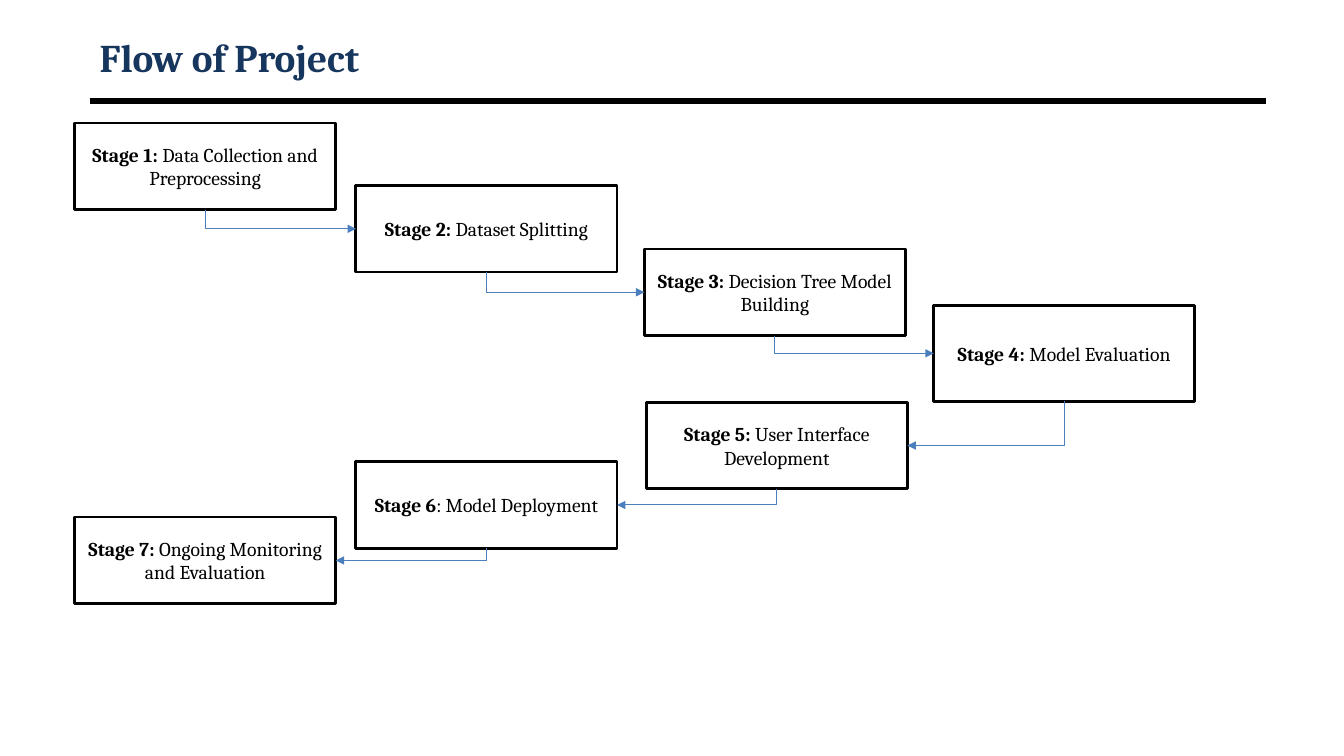
from lxml.etree import SubElement
from pptx import Presentation
from pptx.dml.color import RGBColor
from pptx.enum.shapes import MSO_CONNECTOR, MSO_SHAPE
from pptx.enum.text import MSO_ANCHOR, PP_ALIGN
from pptx.oxml.ns import qn
from pptx.util import Inches, Pt

FONT = "Cambria"
BLACK = RGBColor(0x00, 0x00, 0x00)
WHITE = RGBColor(0xFF, 0xFF, 0xFF)
NAVY = RGBColor(0x17, 0x36, 0x5D)
BLUE = RGBColor(0x4B, 0x7E, 0xBC)
BOTTOM, LEFT, RIGHT = 2, 1, 3
STAGE_WIDTH = 2.59

# Bold label, description, left, top, height
STAGES = [
    ("Stage 1: ", "Data Collection and Preprocessing", 0.74, 1.22, 0.86),
    ("Stage 2: ", "Dataset Splitting", 3.53, 1.84, 0.86),
    ("Stage 3: ", "Decision Tree Model Building", 6.39, 2.47, 0.86),
    ("Stage 4: ", "Model Evaluation", 9.26, 3.03, 0.95),
    ("Stage 5: ", "User Interface Development", 6.41, 3.99, 0.86),
    ("Stage 6", ": Model Deployment", 3.53, 4.58, 0.86),
    ("Stage 7: ", "Ongoing Monitoring and Evaluation", 0.74, 5.13, 0.86),
]


def add_span(para, text, size, color, bold):
    span = para.add_run()
    span.text = text
    span.font.name = FONT
    span.font.size = Pt(size)
    span.font.bold = bold
    span.font.color.rgb = color


def style_line(connector, color, width):
    connector.line.color.rgb = color
    connector.line.width = Pt(width)
    SubElement(connector._element.spPr, qn("a:effectLst"))


def add_header(page, left, top, width, height):
    """Place the title with a heavy rule below it."""
    box = page.shapes.add_textbox(Inches(left), Inches(top), Inches(width), Inches(height))
    box.text_frame.word_wrap = True
    box.text_frame.vertical_anchor = MSO_ANCHOR.MIDDLE
    add_span(box.text_frame.paragraphs[0], "Flow of Project", 28, NAVY, True)
    rule_y = Inches(top + height + 0.17)
    rule = page.shapes.add_connector(
        MSO_CONNECTOR.STRAIGHT, Inches(left), rule_y, Inches(left + width), rule_y)
    style_line(rule, BLACK, 4.5)


def add_stage(page, label, description, left, top, height):
    stage = page.shapes.add_shape(
        MSO_SHAPE.RECTANGLE, Inches(left), Inches(top), Inches(STAGE_WIDTH), Inches(height))
    stage.shadow.inherit = False
    stage.fill.solid()
    stage.fill.fore_color.rgb = WHITE
    stage.line.color.rgb = BLACK
    stage.line.width = Pt(2)
    stage.text_frame.word_wrap = True
    stage.text_frame.vertical_anchor = MSO_ANCHOR.MIDDLE
    para = stage.text_frame.paragraphs[0]
    para.alignment = PP_ALIGN.CENTER
    add_span(para, label, 14, BLACK, True)
    add_span(para, description, 14, BLACK, False)
    return stage


def add_arrow(page, source, target):
    """Run down from the source's bottom, then across to the target's near side."""
    rightward = target.left > source.left
    start_x = source.left + source.width // 2
    start_y = source.top + source.height
    end_x = target.left if rightward else target.left + target.width
    end_y = target.top + target.height // 2
    arrow = page.shapes.add_connector(MSO_CONNECTOR.ELBOW, start_x, start_y, end_x, end_y)
    arrow.begin_connect(source, BOTTOM)
    arrow.end_connect(target, LEFT if rightward else RIGHT)

    # A single-bend elbow starts horizontally, so it is turned to start downward.
    properties = arrow._element.spPr
    properties.find(qn("a:prstGeom")).set("prst", "bentConnector2")
    frame = properties.find(qn("a:xfrm"))
    frame.attrib.clear()
    frame.set("rot", str((270 if rightward else 90) * 60000))
    if rightward:
        frame.set("flipH", "1")
    arrow.width, arrow.height = end_y - start_y, abs(end_x - start_x)
    arrow.left = (start_x + end_x - arrow.width) // 2
    arrow.top = (start_y + end_y - arrow.height) // 2

    style_line(arrow, BLUE, 0.75)
    SubElement(properties.find(qn("a:ln")), qn("a:tailEnd"), type="triangle")


def add_flow(page):
    stages = [add_stage(page, *stage) for stage in STAGES]
    for source, target in zip(stages, stages[1:]):
        add_arrow(page, source, target)


def main():
    deck = Presentation()
    deck.slide_width, deck.slide_height = Inches(13.33), Inches(7.5)
    page = deck.slides.add_slide(deck.slide_layouts[6])
    add_header(page, 0.89, 0.3, 11.67, 0.53)
    add_flow(page)
    deck.save("out.pptx")


if __name__ == "__main__":
    main()
